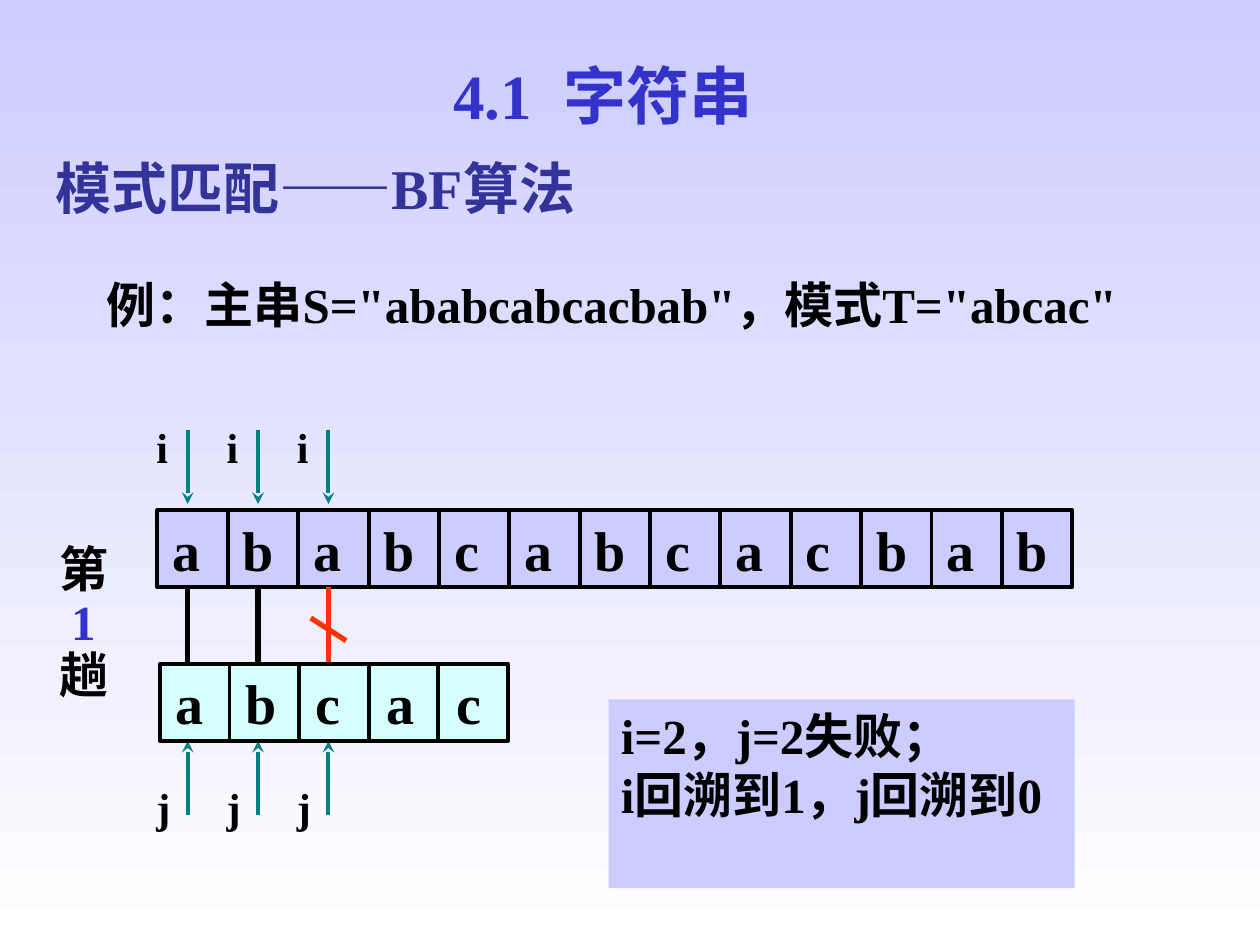
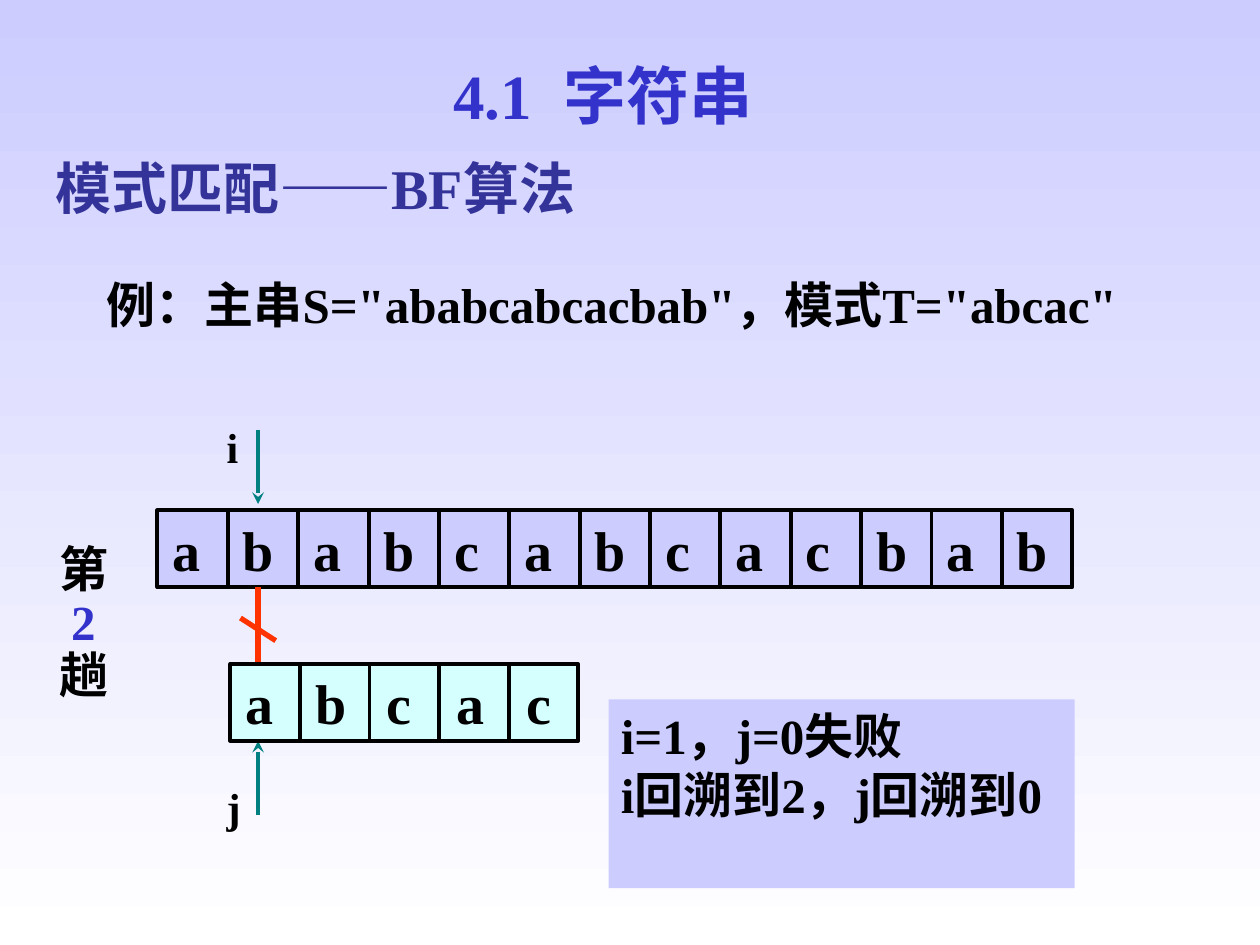
from collections import namedtuple
from dataclasses import dataclass

from lxml import etree
from pptx import Presentation
from pptx import util as u
from pptx.dml import color
from pptx.enum import shapes, text
from pptx.oxml import ns

Box = namedtuple("Box", "left top width height")
Round = namedtuple("Round", "number start matches fails note note_align")


@dataclass(frozen=True)
class Theme:
    """Colours, font and sizes shared by the slides."""
    font: str = "Times New Roman"
    ink: str = "000000"
    accent: str = "3333CC"
    heading: str = "333399"
    panel: str = "CCCCFF"
    pattern: str = "D5FFFF"
    paper: str = "FFFFFF"
    pointer: str = "008080"
    mismatch: str = "FF3300"
    shade: str = "808080"
    title_size: int = 36
    letter_size: int = 32
    body_size: int = 28
    pointer_size: int = 24
    thin: float = 2.25
    thick: float = 3


THEME = Theme()
MAIN_STRING = "ababcabcacbab"
PATTERN = "abcac"
LEFT, JUSTIFY = text.PP_ALIGN.LEFT, text.PP_ALIGN.JUSTIFY

TITLE = Box(2.93, 0.4, 3.71, 0.7)
HEADING = Box(0.34, 1.17, 8.17, 0.64)
EXAMPLE = Box(0.75, 2.13, 8.92, 0.57)
ROUND_LABEL = Box(0.37, 4.28, 0.71, 1.36)
MAIN_ROW = Box(1.25, 4.05, 7.26, 0.61)
PATTERN_ROW = Box(1.27, 5.27, 2.76, 0.61)
NOTE = Box(4.83, 5.55, 3.7, 1.5)
PITCH = MAIN_ROW.width / len(MAIN_STRING)
LETTER_CENTRE = 0.24

ROUNDS = [
    Round(1, 0, (0, 1), 2, ["i=2，j=2失败；", "i回溯到1，j回溯到0"], JUSTIFY),
    Round(2, 1, (), 1, ["i=1，j=0失败", "i回溯到2，j回溯到0"], LEFT),
]


def rgb(value):
    """Return a colour object for a hex value."""
    return color.RGBColor.from_string(value)


def apply(target, **values):
    """Set each named format value on the target."""
    for name, value in values.items():
        setattr(target, name, value)


def inches(box):
    """Convert the sides of a box to lengths."""
    return [u.Inches(side) for side in box]


def write(shape, paragraphs, size, align=LEFT, insets=(0.1, 0.05), colors=None,
          **paragraph_format):
    """Write one styled run for each paragraph and return the runs."""
    frame = shape.text_frame
    side, edge = (u.Inches(inset) for inset in insets)
    apply(frame, word_wrap=True, margin_left=side, margin_right=side,
          margin_top=edge, margin_bottom=edge,
          vertical_anchor=text.MSO_ANCHOR.TOP)
    runs = []
    for index, words in enumerate(paragraphs):
        paragraph = frame.add_paragraph() if index else frame.paragraphs[0]
        apply(paragraph, alignment=align, **paragraph_format)
        run = paragraph.add_run()
        run.text = words
        apply(run.font, name=THEME.font, size=u.Pt(size), bold=True)
        run.font.color.rgb = rgb(colors[index] if colors else THEME.ink)
        runs.append(run)
    return runs


def add_text(slide, box, paragraphs, size, **options):
    """Add a text box and return its runs."""
    return write(slide.shapes.add_textbox(*inches(box)), paragraphs, size, **options)


def add_panel(slide, box, fill, outline=None):
    """Add a flat rectangle."""
    panel = slide.shapes.add_shape(shapes.MSO_SHAPE.RECTANGLE, *inches(box))
    panel.shadow.inherit = False
    panel.fill.solid()
    panel.fill.fore_color.rgb = rgb(fill)
    if outline:
        panel.line.color.rgb = rgb(outline)
        panel.line.width = u.Pt(THEME.thin)
    else:
        panel.line.fill.background()
    return panel


def add_line(slide, start, end, stroke, width, arrow=False):
    """Add a straight line, with an arrowhead at its end if asked."""
    line = slide.shapes.add_connector(
        shapes.MSO_CONNECTOR.STRAIGHT, *inches(start + end))
    line.line.color.rgb = rgb(stroke)
    line.line.width = u.Pt(width)
    if arrow:
        etree.SubElement(line.line._get_or_add_ln(), ns.qn("a:tailEnd"), type="stealth")
    etree.SubElement(line._element.spPr, ns.qn("a:effectLst"))


def add_text_shadow(run):
    """Give a run a small grey shadow to the lower right."""
    effects = etree.Element(ns.qn("a:effectLst"))
    shadow = etree.SubElement(effects, ns.qn("a:outerShdw"),
                              dist=str(u.Pt(2)), dir="2700000")
    etree.SubElement(shadow, ns.qn("a:srgbClr"), val=THEME.shade)
    run._r.rPr.find(ns.qn("a:solidFill")).addnext(effects)


def add_title(slide, box):
    """Add the chapter title, with a widened space after its number."""
    [number] = add_text(slide, box, ["4.1"], THEME.title_size,
                        align=text.PP_ALIGN.CENTER, colors=[THEME.accent])
    paragraph = slide.shapes[-1].text_frame.paragraphs[0]
    runs = [number]
    for words in (" ", "字符串"):
        run = paragraph.add_run()
        run.text = words
        apply(run.font, name=THEME.font, size=u.Pt(THEME.title_size), bold=True)
        run.font.color.rgb = rgb(THEME.accent)
        runs.append(run)
    runs[1]._r.rPr.set("spc", "900")
    for run in runs:
        add_text_shadow(run)


def add_letter_row(slide, box, letters, fill):
    """Add a string as a divided row, one letter to a cell."""
    row = add_panel(slide, box, fill, THEME.ink)
    write(row, ["\t".join(letters)], THEME.letter_size, insets=(0.12, 0))
    apply(row.text_frame, vertical_anchor=text.MSO_ANCHOR.MIDDLE,
          margin_right=u.Inches(0.02))
    properties = row.text_frame.paragraphs[0]._p.get_or_add_pPr()
    stops = etree.SubElement(properties, ns.qn("a:tabLst"))
    cell = box.width / len(letters)
    for index in range(1, len(letters)):
        etree.SubElement(stops, ns.qn("a:tab"),
                         pos=str(u.Inches(index * PITCH)), algn="l")
        x = box.left + index * cell
        add_line(slide, (x, box.top), (x, box.top + box.height), THEME.ink, THEME.thin)


def add_comparison(slide, main, pattern, index, equal):
    """Link a letter pair between two rows and point at it with i and j."""
    x = main.left + LETTER_CENTRE + index * PITCH
    upper, lower = main.top + main.height, pattern.top
    base = pattern.top + pattern.height
    add_line(slide, (x, upper), (x, lower),
             THEME.ink if equal else THEME.mismatch, THEME.thick)
    if not equal:
        middle = (upper + lower) / 2 + 0.03
        add_line(slide, (x - 0.14, middle - 0.09), (x + 0.14, middle + 0.09),
                 THEME.mismatch, THEME.thick)
    pointers = [("i", main.top - 0.64, main.top - 0.05, main.top - 0.75),
                ("j", base + 0.59, base, base + 0.27)]
    for name, start, end, label_top in pointers:
        add_line(slide, (x, start), (x, end), THEME.pointer, THEME.thin, arrow=True)
        add_text(slide, Box(x - 0.25, label_top, 0.25, 0.5), [name],
                 THEME.pointer_size, insets=(0, 0.05))


def add_frame(slide):
    """Add the background, title, heading and example of every slide."""
    fill = slide.background.fill
    fill.gradient()
    fill.gradient_angle = 270
    for stop, value in zip(fill.gradient_stops, (THEME.panel, THEME.paper)):
        stop.color.rgb = rgb(value)
    add_title(slide, TITLE)
    add_text(slide, HEADING, ["模式匹配——BF算法"], THEME.letter_size,
             colors=[THEME.heading])
    add_text(slide, EXAMPLE, [f'例：主串S="{MAIN_STRING}"，模式T="{PATTERN}"'],
             THEME.body_size, align=JUSTIFY)


def add_round_slide(presentation, step):
    """Add the slide for one round of matching."""
    slide = presentation.slides.add_slide(presentation.slide_layouts[6])
    add_frame(slide)
    add_text(slide, ROUND_LABEL, ["第", f" {step.number}", "趟"], THEME.body_size,
             colors=[THEME.ink, THEME.accent, THEME.ink], line_spacing=0.9)
    add_letter_row(slide, MAIN_ROW, MAIN_STRING, THEME.panel)
    pattern_row = PATTERN_ROW._replace(left=PATTERN_ROW.left + step.start * PITCH)
    for index in (*step.matches, step.fails):
        add_comparison(slide, MAIN_ROW, pattern_row, index, index in step.matches)
    add_letter_row(slide, pattern_row, PATTERN, THEME.pattern)
    write(add_panel(slide, NOTE, THEME.panel), step.note, THEME.body_size,
          align=step.note_align)


def main():
    """Build and save the presentation."""
    presentation = Presentation()
    apply(presentation, slide_width=u.Inches(10), slide_height=u.Inches(7.5))
    for step in ROUNDS:
        add_round_slide(presentation, step)
    presentation.save("out.pptx")


if __name__ == "__main__":
    main()
